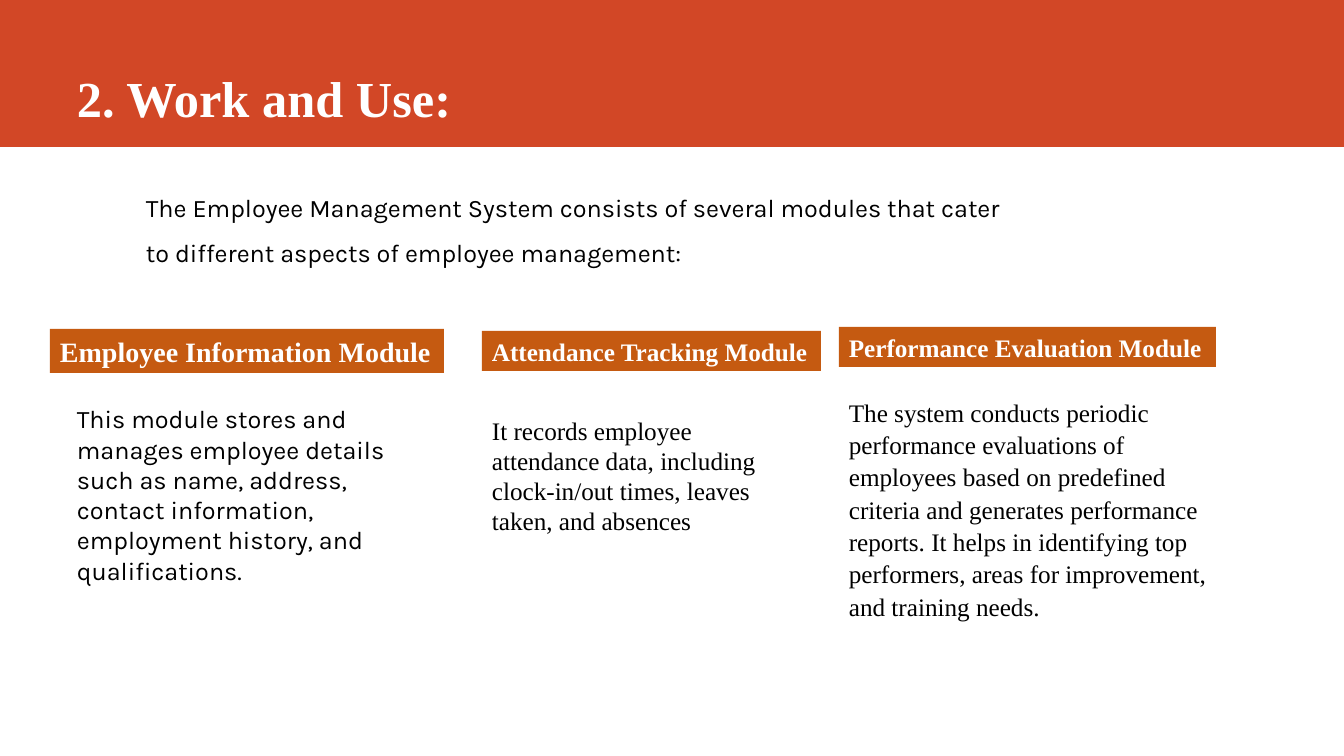
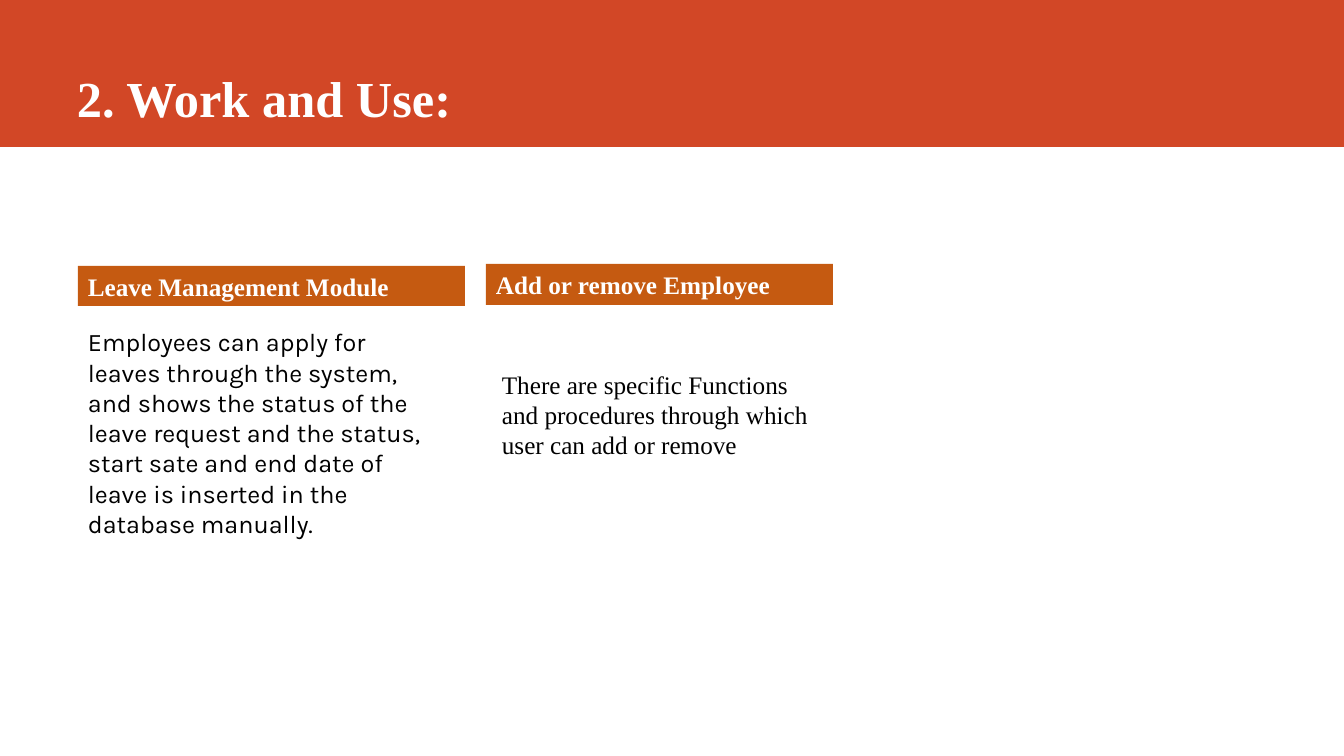
"""Builds two slides on the modules of an employee management system."""
from dataclasses import dataclass

from pptx import Presentation
from pptx.dml.color import RGBColor
from pptx.enum.shapes import MSO_SHAPE
from pptx.enum.text import MSO_ANCHOR, PP_ALIGN
from pptx.util import Pt

EMU_PER_PX = 914400 / 100.8
SLIDE_SIZE = (1344, 756)
BAND = (0, 0, 1344, 147)
TITLE_AREA = (67, 0, 1185, 133)
INTRO_AREA = (136, 172, 891, 141)


@dataclass(frozen=True)
class Theme:
    band: str = "D24726"
    label: str = "C55A11"
    light: str = "FFFFFF"
    ink: str = "000000"
    serif: str = "Times New Roman"
    sans: str = "Karla"
    title_size: int = 36
    lead_size: int = 20
    text_size: int = 18


THEME = Theme()

SLIDES = [
    {
        "title": "2. Work and Use:",
        "intro": "The Employee Management System consists of several modules that cater "
                 "to different aspects of employee management:",
        "modules": [
            {
                "label": "Employee Information Module",
                "label_area": (50, 329, 394, 44),
                "label_format": {"size": THEME.lead_size},
                "detail": "This module stores and manages employee details such as name, address, "
                          "contact information, employment history, and qualifications.",
                "detail_area": (67, 373, 361, 243),
                "detail_format": {"font": THEME.sans},
            },
            {
                "label": "Attendance Tracking Module",
                "label_area": (482, 331, 339, 40),
                "detail": "It records employee attendance data, including clock-in/out times, "
                          "leaves taken, and absences",
                "detail_area": (482, 348, 334, 255),
            },
            {
                "label": "Performance Evaluation Module",
                "label_area": (839, 327, 377, 40),
                "detail": "The system conducts periodic performance evaluations of employees based on "
                          "predefined criteria and generates performance reports. It helps in "
                          "identifying top performers, areas for improvement, and training needs.",
                "detail_area": (839, 390, 399, 239),
                "detail_format": {"anchor": MSO_ANCHOR.TOP, "line_spacing": 1.07, "space_after": 8},
            },
        ],
    },
    {
        "title": "2. Work and Use:",
        "modules": [
            {
                "label": "Leave Management Module",
                "label_area": (78, 266, 387, 40),
                "detail": "Employees can apply for leaves through the system, and shows the status of "
                          "the leave request and the status, start sate and end date of leave is "
                          "inserted in the database manually.",
                "detail_area": (78, 296, 361, 273),
                "detail_format": {"font": THEME.sans},
            },
            {
                "label": "Add or remove Employee",
                "label_area": (486, 264, 347, 41),
                "detail": "There are specific Functions and procedures through which user can add or remove",
                "detail_area": (492, 287, 334, 255),
            },
        ],
    },
]


def emu(lengths):
    return [round(length * EMU_PER_PX) for length in lengths]


def add_panel(slide, area, fill):
    panel = slide.shapes.add_shape(MSO_SHAPE.RECTANGLE, *emu(area))
    panel.shadow.inherit = False
    panel.fill.solid()
    panel.fill.fore_color.rgb = RGBColor.from_string(fill)
    panel.line.fill.background()


def add_text(slide, area, text, *, font=THEME.serif, size=THEME.text_size, color=THEME.ink,
             bold=False, anchor=MSO_ANCHOR.MIDDLE, line_spacing=1.0, space_after=0, right_inset=10):
    frame = slide.shapes.add_textbox(*emu(area)).text_frame
    frame.word_wrap = True
    frame.vertical_anchor = anchor
    frame.margin_right = emu([right_inset])[0]
    paragraph = frame.paragraphs[0]
    paragraph.alignment = PP_ALIGN.LEFT
    paragraph.line_spacing = line_spacing
    paragraph.space_after = Pt(space_after)
    run = paragraph.add_run()
    run.text = text
    run.font.name = font
    run.font.size = Pt(size)
    run.font.bold = bold
    run.font.color.rgb = RGBColor.from_string(color)


def add_module(slide, module):
    add_panel(slide, module["label_area"], THEME.label)
    add_text(slide, module["label_area"], module["label"], color=THEME.light, bold=True,
             right_inset=0, **module.get("label_format", {}))
    add_text(slide, module["detail_area"], module["detail"], **module.get("detail_format", {}))


def add_slide(deck, content):
    slide = deck.slides.add_slide(deck.slide_layouts[6])
    add_panel(slide, BAND, THEME.band)
    add_text(slide, TITLE_AREA, content["title"], size=THEME.title_size, color=THEME.light,
             bold=True, anchor=MSO_ANCHOR.BOTTOM)
    if "intro" in content:
        add_text(slide, INTRO_AREA, content["intro"], font=THEME.sans, anchor=MSO_ANCHOR.TOP,
                 line_spacing=1.5, space_after=12)
    for module in content["modules"]:
        add_module(slide, module)


def main():
    deck = Presentation()
    deck.slide_width, deck.slide_height = emu(SLIDE_SIZE)
    for content in SLIDES:
        add_slide(deck, content)
    deck.save("out.pptx")


if __name__ == "__main__":
    main()
